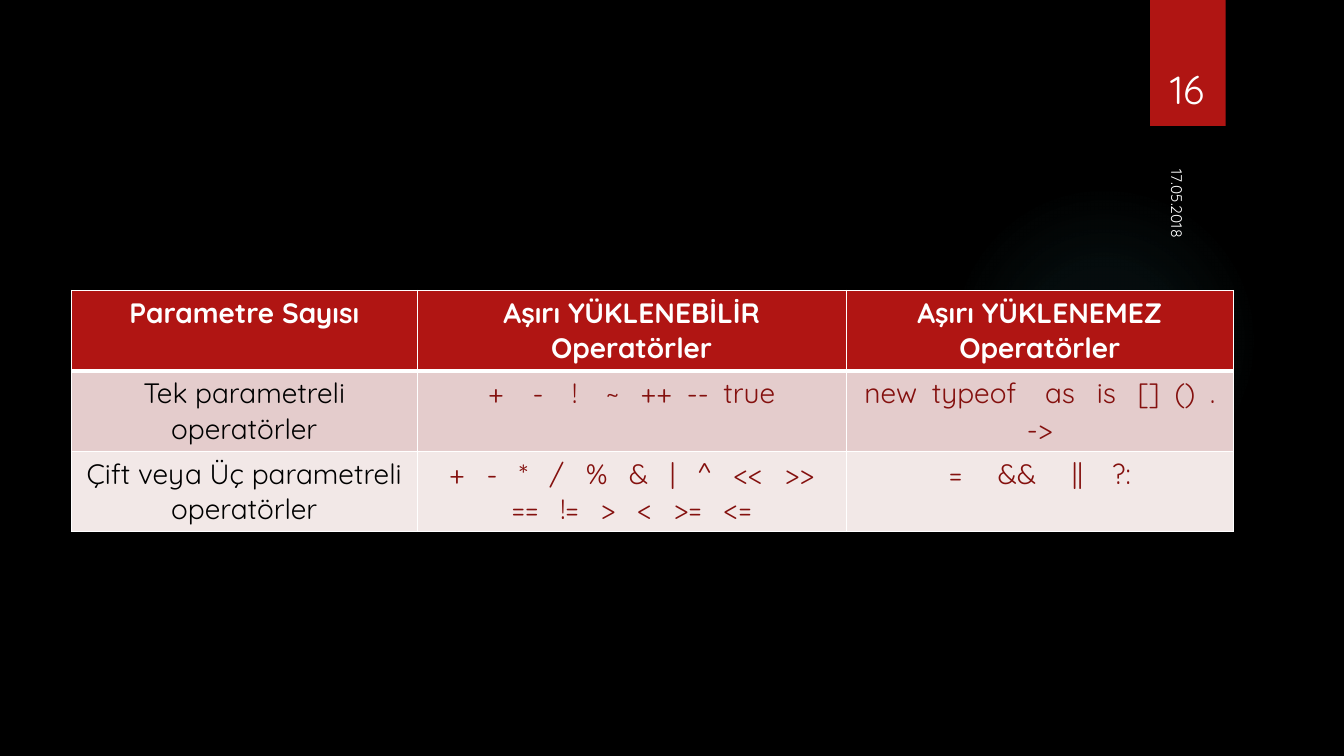
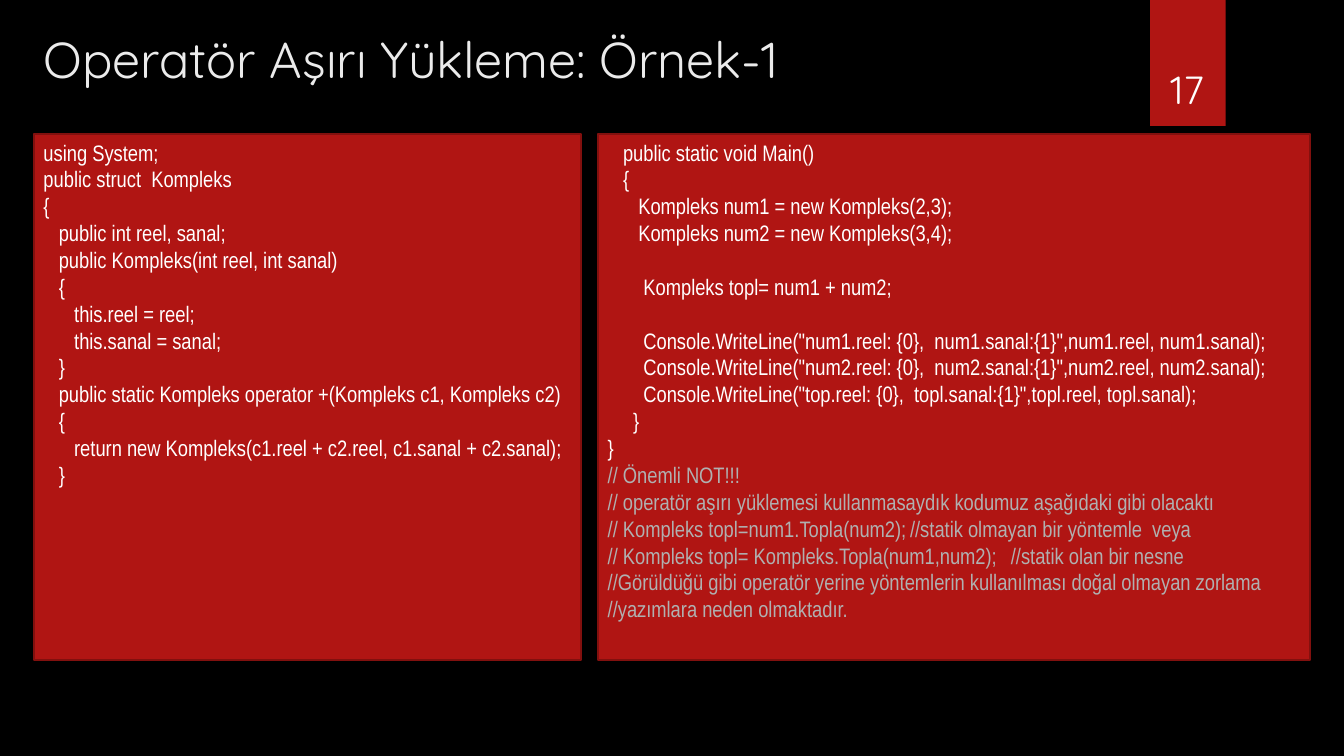
from itertools import zip_longest

from lxml import etree
from pptx import Presentation
from pptx.dml.color import RGBColor
from pptx.enum.shapes import MSO_SHAPE
from pptx.enum.text import MSO_ANCHOR, PP_ALIGN
from pptx.oxml import parse_xml
from pptx.oxml.ns import nsdecls, qn
from pptx.util import Pt

RECTANGLE, OVAL = MSO_SHAPE.RECTANGLE, MSO_SHAPE.OVAL
TOP, BOTTOM = MSO_ANCHOR.TOP, MSO_ANCHOR.BOTTOM
LEFT, CENTER = PP_ALIGN.LEFT, PP_ALIGN.CENTER

BLACK = RGBColor(0x00, 0x00, 0x00)
WHITE = RGBColor(0xFF, 0xFF, 0xFF)
RED = RGBColor(0xB0, 0x15, 0x13)
DARK_RED = RGBColor(0x84, 0x10, 0x0E)
EDGE_RED = RGBColor(0x82, 0x10, 0x0E)
OFF_WHITE = RGBColor(0xEB, 0xEB, 0xEB)
COMMENT_GRAY = RGBColor(0xB0, 0xB0, 0xB0)
TEAL = RGBColor(0x50, 0xB9, 0xC1)
ROW_FILLS = (RED, RGBColor(0xE4, 0xCC, 0xCC), RGBColor(0xF2, 0xE8, 0xE7))

FORMATS = {
    "title": {"name": "Quicksand", "size": Pt(36), "color": OFF_WHITE},
    "number": {"name": "Quicksand", "size": Pt(28), "color": WHITE},
    "date": {"name": "Quicksand", "size": Pt(11), "color": WHITE},
    "header": {"name": "Quicksand", "size": Pt(20), "bold": True, "color": WHITE},
    "label": {"name": "Quicksand", "size": Pt(20), "bold": False, "color": BLACK},
    "operator": {"name": "Quicksand", "size": Pt(20), "bold": False, "color": DARK_RED},
    "code": {"name": "Arial Narrow", "size": Pt(16), "color": WHITE},
    "comment": {"name": "Arial Narrow", "size": Pt(16), "color": COMMENT_GRAY},
}
TABLE_SPACE = 5
CODE_SPACE = 3.65
CODE_LINE = 19.2
COMMENT_TAB = 286

HEADERS = ("Parametre Sayısı", "Aşırı YÜKLENEBİLİR Operatörler", "Aşırı YÜKLENEMEZ Operatörler")
OPERATOR_ROWS = (
    (
        "Tek parametreli operatörler",
        ("+ - ! ~ ++ -- true", (4, 4, 4, 3, 2, 2)),
        ("new typeof as is [] () . ->", (2, 4, 3, 3, 2, 2, 3)),
    ),
    (
        "Çift veya Üç parametreli operatörler",
        ("+ - * / % & | ^ << >> == != > < >= <=", (3,) * 15),
        ("= && || ?:", (5, 5, 4)),
    ),
)

STRUCT_CODE = """using System;
public struct  Kompleks
{
   public int reel, sanal;
   public Kompleks(int reel, int sanal)
   {
      this.reel = reel;
      this.sanal = sanal;
   }
   public static Kompleks operator +(Kompleks c1, Kompleks c2)
   {
      return new Kompleks(c1.reel + c2.reel, c1.sanal + c2.sanal);
   }"""

MAIN_CODE = """   public static void Main()
   {
      Kompleks num1 = new Kompleks(2,3);
      Kompleks num2 = new Kompleks(3,4);

       Kompleks topl= num1 + num2;

       Console.WriteLine("num1.reel: {0},  num1.sanal:{1}",num1.reel, num1.sanal);
       Console.WriteLine("num2.reel: {0},  num2.sanal:{1}",num2.reel, num2.sanal);
       Console.WriteLine("top.reel: {0},  topl.sanal:{1}",topl.reel, topl.sanal);
     }
}
// Önemli NOT!!!
// operatör aşırı yüklemesi kullanmasaydık kodumuz aşağıdaki gibi olacaktı
// Kompleks topl=num1.Topla(num2);\t//statik olmayan bir yöntemle  veya
// Kompleks topl= Kompleks.Topla(num1,num2);\t//statik olan bir nesne
//Görüldüğü gibi operatör yerine yöntemlerin kullanılması doğal olmayan zorlama //yazımlara neden olmaktadır."""


class Deck:
    """Holds the presentation style and draws on the current slide."""

    def __init__(self):
        self.presentation = Presentation()
        self.presentation.slide_width = Pt(960)
        self.presentation.slide_height = Pt(540)
        background = self.presentation.slide_master.background.fill
        background.solid()
        background.fore_color.rgb = BLACK
        self.slide = None

    def start_slide(self, number, title=None):
        layout = self.presentation.slide_layouts[5 if title else 6]
        self.slide = self.presentation.slides.add_slide(layout)
        if title:
            self.title(title)
        self.box(RECTANGLE, (821.5, 0, 54, 90), RED)
        self.text((815, 23, 66, 60.5), str(number), "number", CENTER, BOTTOM)

    def run(self, paragraph, text, style):
        run = paragraph.add_run()
        run.text = text
        for attribute, value in FORMATS[style].items():
            if attribute == "color":
                run.font.color.rgb = value
            else:
                setattr(run.font, attribute, value)
        return run

    def frame(self, text_frame, alignment, anchor):
        text_frame.word_wrap = True
        text_frame.vertical_anchor = anchor
        paragraph = text_frame.paragraphs[0]
        paragraph.alignment = alignment
        return paragraph

    def title(self, text):
        title = self.slide.shapes.title
        title.left, title.top, title.width, title.height = map(Pt, (24, 16.5, 896, 73.5))
        self.run(self.frame(title.text_frame, LEFT, TOP), text, "title")

    def text(self, bounds, text, style, alignment=LEFT, anchor=TOP, rotation=0):
        shape = self.slide.shapes.add_textbox(*map(Pt, bounds))
        shape.rotation = rotation
        self.run(self.frame(shape.text_frame, alignment, anchor), text, style)

    def box(self, kind, bounds, fill, line=None):
        shape = self.slide.shapes.add_shape(kind, *map(Pt, bounds))
        shape.shadow.inherit = False
        shape.fill.solid()
        shape.fill.fore_color.rgb = fill
        if line:
            shape.line.color.rgb = line
            shape.line.width = Pt(1.5)
        else:
            shape.line.fill.background()
        return shape

    def glow(self, bounds, color):
        shape = self.box(OVAL, bounds, color)
        stops = "".join(
            f'<a:gs pos="{position}000"><a:srgbClr val="{color}">'
            f'<a:alpha val="{opacity}000"/></a:srgbClr></a:gs>'
            for position, opacity in ((0, 7), (36, 6), (69, 0), (100, 0))
        )
        gradient = parse_xml(
            f'<a:gradFill {nsdecls("a")} rotWithShape="1"><a:gsLst>{stops}</a:gsLst>'
            '<a:path path="circle"><a:fillToRect l="50000" t="50000" r="50000" b="50000"/>'
            "</a:path></a:gradFill>"
        )
        properties = shape.element.spPr
        properties.replace(properties.find(qn("a:solidFill")), gradient)

    def code(self, bounds, source):
        text_frame = self.box(RECTANGLE, bounds, RED, EDGE_RED).text_frame
        paragraph = self.frame(text_frame, LEFT, TOP)
        gap = 0
        for index, line in enumerate(source.splitlines()):
            content = line.lstrip()
            if not content:
                gap += CODE_LINE
                continue
            if index:
                paragraph = text_frame.add_paragraph()
            paragraph.alignment = LEFT
            paragraph.space_before = Pt(gap)
            gap = 0
            properties = paragraph._p.get_or_add_pPr()
            properties.set("marL", str(Pt(CODE_SPACE * (len(line) - len(content)))))
            properties.set("indent", "0")
            if "\t" in content:
                tabs = etree.SubElement(properties, qn("a:tabLst"))
                etree.SubElement(tabs, qn("a:tab"), pos=str(Pt(COMMENT_TAB)), algn="l")
            self.run(paragraph, content, "comment" if content.startswith("//") else "code")

    def operators(self, paragraph, symbols, gaps):
        for symbol, gap in zip_longest(symbols.split(), gaps):
            self.run(paragraph, symbol, "operator")
            if gap:
                space = self.run(paragraph, " ", "operator")
                space.font._element.set("spc", str((gap - 1) * TABLE_SPACE * 100))

    def borders(self, cell, top, bottom):
        properties = cell._tc.get_or_add_tcPr()
        for index, (side, width) in enumerate((("L", 1), ("R", 1), ("T", top), ("B", bottom))):
            line = etree.Element(qn(f"a:ln{side}"), w=str(Pt(width)))
            fill = etree.SubElement(line, qn("a:solidFill"))
            etree.SubElement(fill, qn("a:srgbClr"), val=str(WHITE))
            properties.insert(index, line)

    def table(self, left, top, widths, row_height, rows):
        size = (sum(widths), row_height * len(rows))
        table = self.slide.shapes.add_table(
            len(rows), len(widths), *map(Pt, (left, top, *size))
        ).table
        for column, width in zip(table.columns, widths):
            column.width = Pt(width)
        for row_index, values in enumerate(rows):
            table.rows[row_index].height = Pt(row_height)
            for column_index, value in enumerate(values):
                cell = table.cell(row_index, column_index)
                cell.fill.solid()
                cell.fill.fore_color.rgb = ROW_FILLS[row_index]
                self.borders(cell, 3 if row_index == 1 else 1, 3 if row_index == 0 else 1)
                paragraph = cell.text_frame.paragraphs[0]
                paragraph.alignment = CENTER
                if isinstance(value, tuple):
                    self.operators(paragraph, *value)
                else:
                    self.run(paragraph, value, "label" if row_index else "header")


def main():
    deck = Deck()

    deck.start_slide(16)
    deck.glow((677.5, 132, 222, 222), TEAL)
    deck.text((800, 141, 78, 24), "17.05.2018", "date", rotation=90)
    deck.table(51, 207.5, (247, 306.5, 276.5), 57.4, (HEADERS, *OPERATOR_ROWS))

    deck.start_slide(17, "Operatör Aşırı Yükleme: Örnek-1")
    deck.code((24, 95.5, 391, 376), STRUCT_CODE)
    deck.code((427, 95.5, 509, 376), MAIN_CODE)

    deck.presentation.save("out.pptx")


if __name__ == "__main__":
    main()
